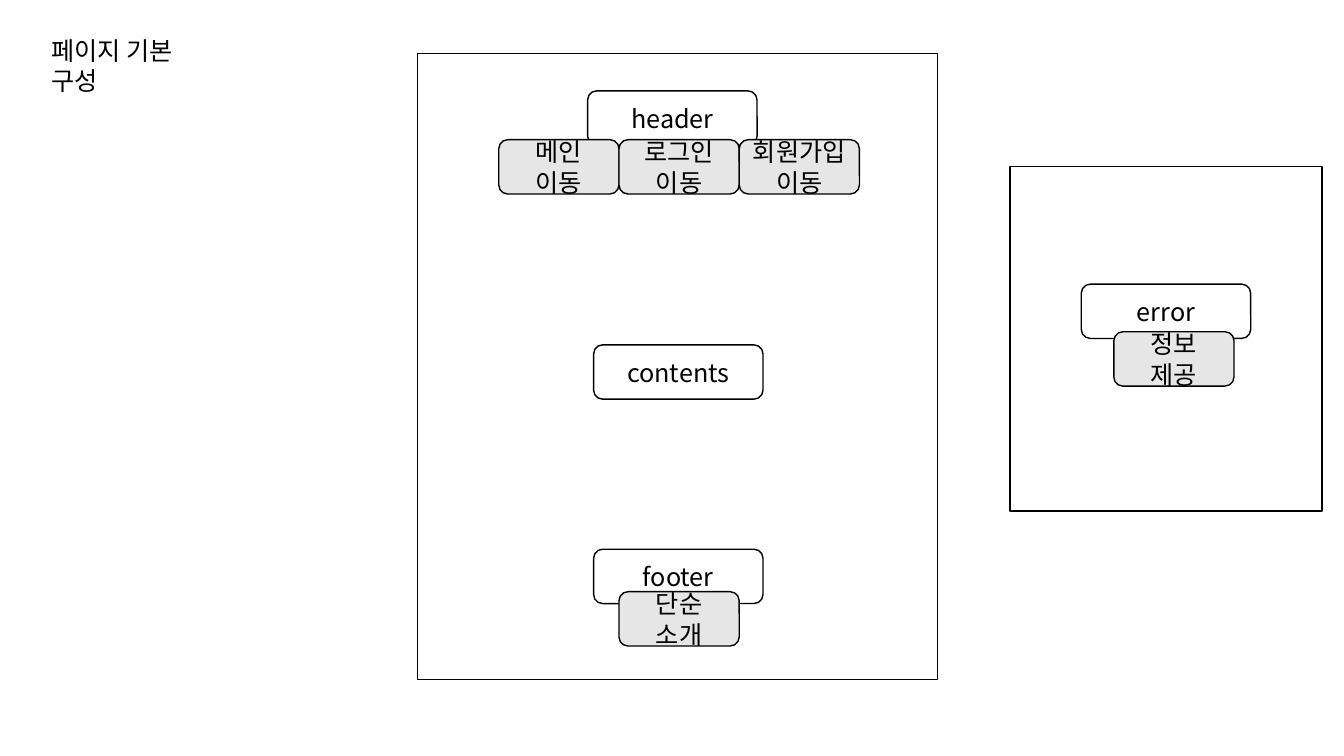
from pptx import Presentation
from pptx.dml.color import RGBColor
from pptx.enum import shapes, text
from pptx.oxml import ns
from pptx.util import Cm, Pt

WHITE = RGBColor(0xFF, 0xFF, 0xFF)
BLACK = RGBColor(0x00, 0x00, 0x00)
GRAY = RGBColor(0xE7, 0xE6, 0xE6)
FONT = {"name": "Noto Sans CJK KR", "size": Pt(18), "bold": False}

TITLE = "페이지 기본 구성"
FRAMES = [(25.45, 4.19, 7.87, 8.69), (10.52, 1.35, 13.11, 15.77)]
SECTIONS = [
    ("header", 14.81, 2.29),
    ("footer", 14.96, 13.84),
    ("contents", 14.96, 8.69),
    ("error", 27.25, 7.16),
]
MENU = ["메인\n이동", "로그인\n이동", "회원가입\n이동"]
MENU_LEFT, MENU_TOP = 12.57, 3.52
NOTES = [("단순\n소개", 15.6, 14.91), ("정보\n제공", 28.07, 8.36)]
SECTION_WIDTH, NOTE_WIDTH, BOX_HEIGHT = 4.27, 3.03, 1.37


def format_text(box, words, color, align, anchor):
    frame = box.text_frame
    frame.text = words
    settings = {"word_wrap": True, "vertical_anchor": anchor,
                "auto_size": text.MSO_AUTO_SIZE.NONE}
    for key, value in settings.items():
        setattr(frame, key, value)
    for para in frame.paragraphs:
        para.alignment = align
        for span in para.runs:
            for key, value in FONT.items():
                setattr(span.font, key, value)
            span.font.color.rgb = color
            east_asian = span.font._element.makeelement(
                ns.qn("a:ea"), {"typeface": FONT["name"]})
            span.font._element.find(ns.qn("a:latin")).addnext(east_asian)


def add_box(page, kind, place, fill, words=""):
    box = page.shapes.add_shape(kind, *map(Cm, place))
    box.shadow.inherit = False
    box.fill.solid()
    box.fill.fore_color.rgb = fill
    box.line.color.rgb = BLACK
    box.line.width = Pt(1)
    if words:
        format_text(box, words, BLACK, text.PP_ALIGN.CENTER,
                    text.MSO_ANCHOR.MIDDLE)


def main():
    deck = Presentation()
    deck.slide_width, deck.slide_height = Cm(33.87), Cm(19.05)
    page = deck.slides.add_slide(deck.slide_layouts[5])

    title = page.shapes.title
    place = {"left": 1.04, "top": 0.76, "width": 4.42, "height": 1.02}
    for key, value in place.items():
        setattr(title, key, Cm(value))
    title.fill.solid()
    title.fill.fore_color.rgb = WHITE
    format_text(title, TITLE, BLACK, text.PP_ALIGN.LEFT, text.MSO_ANCHOR.TOP)

    rounded = shapes.MSO_SHAPE.ROUNDED_RECTANGLE
    for frame in FRAMES:
        add_box(page, shapes.MSO_SHAPE.RECTANGLE, frame, WHITE)
    for words, left, top in SECTIONS:
        add_box(page, rounded, (left, top, SECTION_WIDTH, BOX_HEIGHT), WHITE, words)
    menu = [(words, MENU_LEFT + index * NOTE_WIDTH, MENU_TOP)
            for index, words in enumerate(MENU)]
    for words, left, top in menu + NOTES:
        add_box(page, rounded, (left, top, NOTE_WIDTH, BOX_HEIGHT), GRAY, words)

    deck.save("out.pptx")


if __name__ == "__main__":
    main()
